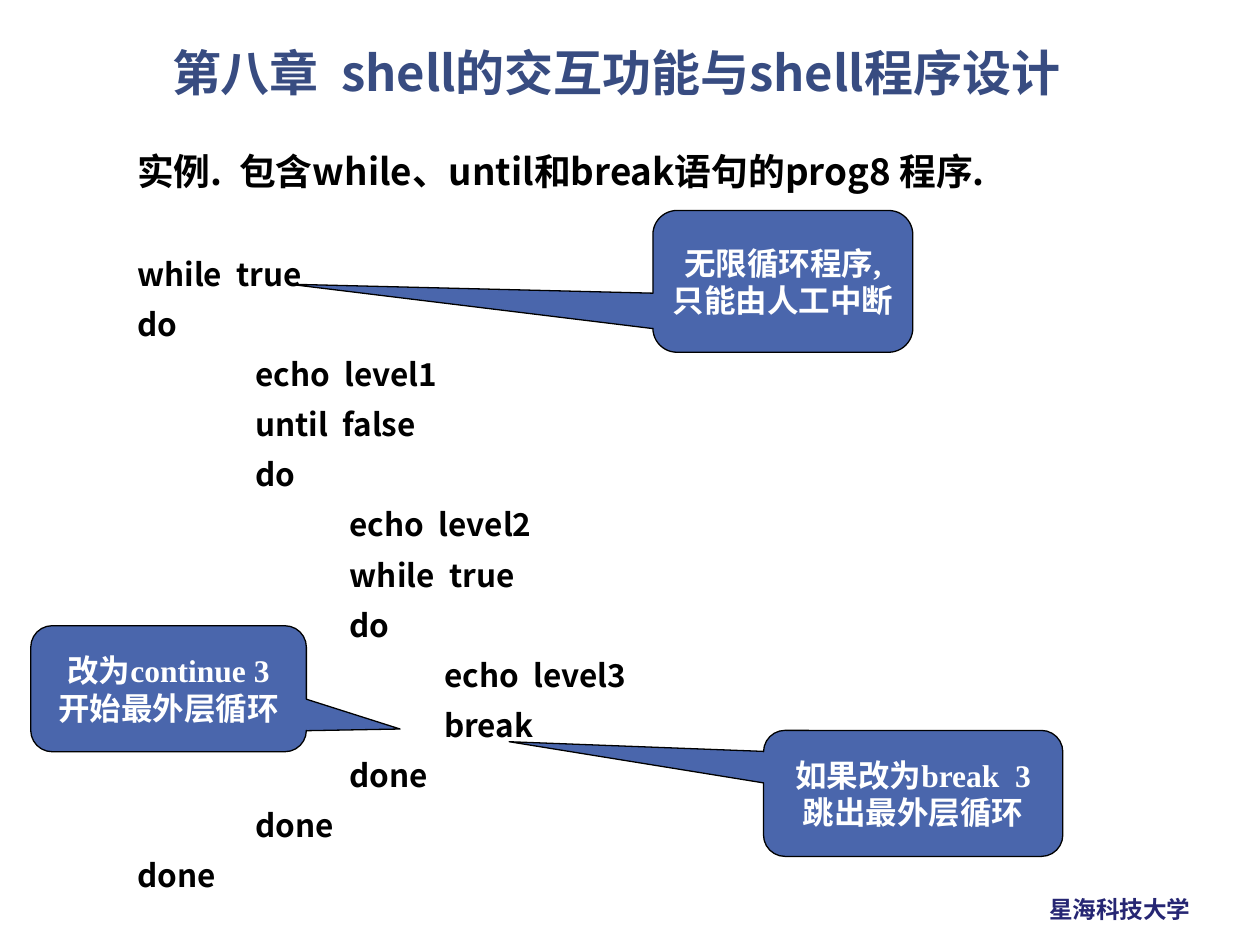
from dataclasses import dataclass

from lxml import etree
from pptx import Presentation
from pptx import util as u
from pptx.dml.color import RGBColor
from pptx.enum import shapes, text
from pptx.oxml import ns

Pt = u.Pt


@dataclass(frozen=True)
class Theme:
    sans: str = "Noto Sans CJK SC"
    serif: str = "Times New Roman"
    title: str = "384C81"
    body: str = "000000"
    callout: str = "4A66AC"
    callout_text: str = "FFFFFF"
    footer: str = "262673"
    title_size: float = 28
    heading_size: float = 21
    text_size: float = 18
    footer_size: float = 13.5


theme = Theme()


def add_run(paragraph, words, size, color, font=theme.sans):
    """Add a bold run, with the sans face for its Chinese characters."""
    run = paragraph.add_run()
    run.text = words
    run.font.size = Pt(size)
    run.font.bold = True
    run.font.color.rgb = RGBColor.from_string(color)
    run.font.name = font
    east_asian = etree.SubElement(run.font._element, ns.qn("a:ea"))
    east_asian.set("typeface", theme.sans)


def add_text_frame(left, top, width, height, wrap):
    box = slide.shapes.add_textbox(Pt(left), Pt(top), Pt(width), Pt(height))
    box.text_frame.word_wrap = wrap
    return box.text_frame


presentation = Presentation()
presentation.slide_width, presentation.slide_height = Pt(720), Pt(540)
slide = presentation.slides.add_slide(presentation.slide_layouts[6])

# Footer
footer = add_text_frame(592.5, 507.6, 96.5, 23.8, False)
add_run(footer.paragraphs[0], "星海科技大学", theme.footer_size, theme.footer)

# Heading and program listing, each line with its nesting level
body = add_text_frame(71.3, 79.9, 604, 450.7, True)
heading = body.paragraphs[0]
heading.line_spacing = Pt(27)
add_run(heading, "实例.  包含while、until和break语句的prog8 程序.",
        theme.heading_size, theme.body)

code = [
    (0, "while  true"),
    (0, "do"),
    (1, "echo  level1"),
    (1, "until  false"),
    (1, "do"),
    (2, "echo  level2"),
    (2, "while  true"),
    (2, "do"),
    (3, "echo  level3"),
    (3, "break"),
    (2, "done"),
    (1, "done"),
    (0, "done"),
]
FIRST_INDENT, INDENT_STEP = 67.5, 54
for number, (level, line) in enumerate(code):
    paragraph = body.add_paragraph()
    paragraph.line_spacing = Pt(18.6)
    paragraph.space_before = Pt(10 if number else 38.4)
    indent = FIRST_INDENT + INDENT_STEP * (level - 1) if level else 0
    paragraph._p.get_or_add_pPr().set("marL", str(Pt(indent)))
    add_run(paragraph, line, theme.text_size, theme.body)

# Callouts: box, pointer tip relative to the box centre, lines
callouts = [
    ((373.1, 120.3, 148.5, 81), (-1.9, 0.02), ["无限循环程序, 只能由人工中断"]),
    ((436.3, 417.4, 171, 72), (-1.35, -0.41), ["如果改为break  3", "跳出最外层循环"]),
    ((17.6, 357.6, 157.5, 72), (0.84, 0.32), ["改为continue 3", "开始最外层循环"]),
]
for box, tip, lines in callouts:
    shape = slide.shapes.add_shape(
        shapes.MSO_SHAPE.ROUNDED_RECTANGULAR_CALLOUT, *map(Pt, box))
    shape.shadow.inherit = False
    for index, value in enumerate((*tip, 0.17)):
        shape.adjustments[index] = value
    shape.fill.solid()
    shape.fill.fore_color.rgb = RGBColor.from_string(theme.callout)
    shape.line.color.rgb = RGBColor.from_string(theme.body)
    shape.line.width = Pt(0.75)
    frame = shape.text_frame
    frame.word_wrap = True
    frame.vertical_anchor = text.MSO_ANCHOR.MIDDLE
    for index, line in enumerate(lines):
        paragraph = frame.add_paragraph() if index else frame.paragraphs[0]
        paragraph.alignment = text.PP_ALIGN.CENTER
        add_run(paragraph, line, theme.text_size, theme.callout_text, theme.serif)

# Title
title = add_text_frame(77, 25.9, 550, 34.6, False)
title.vertical_anchor = text.MSO_ANCHOR.MIDDLE
title.paragraphs[0].alignment = text.PP_ALIGN.CENTER
title.paragraphs[0].line_spacing = 0.9
add_run(title.paragraphs[0], "第八章  shell的交互功能与shell程序设计",
        theme.title_size, theme.title)

presentation.save("out.pptx")
